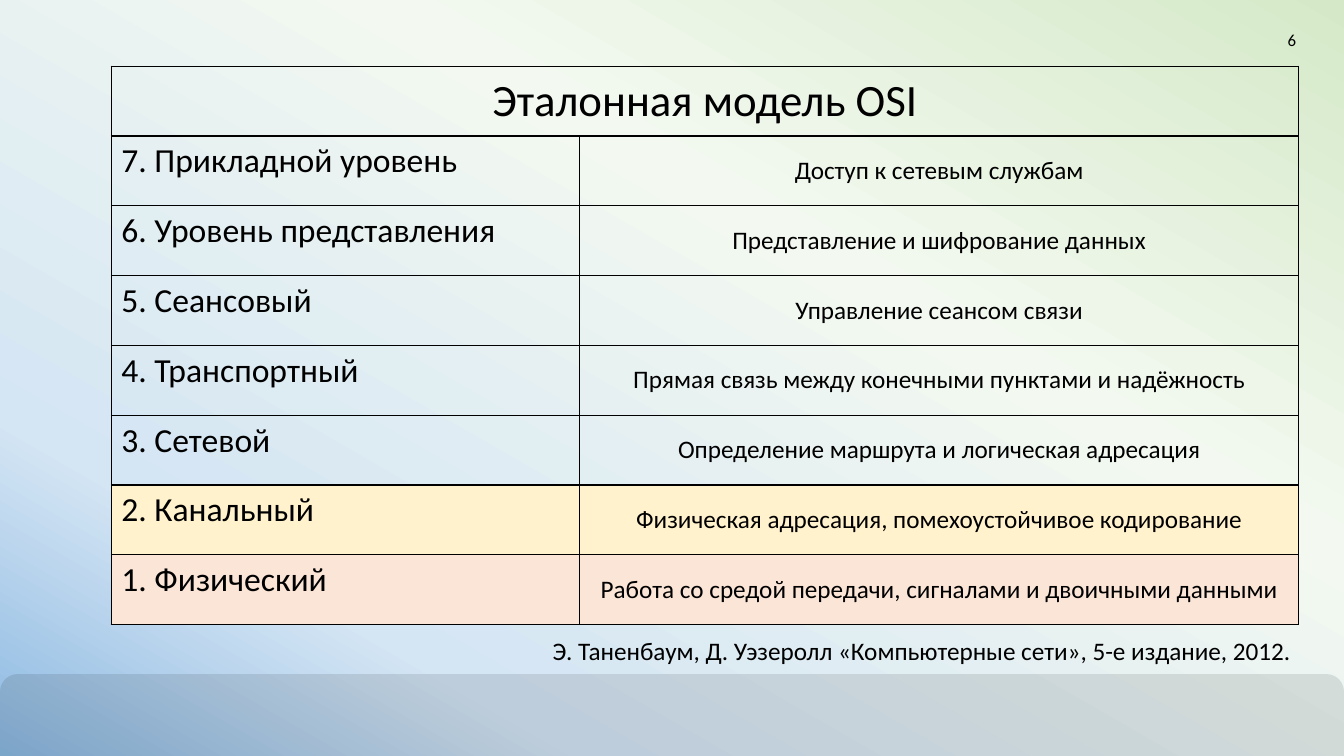
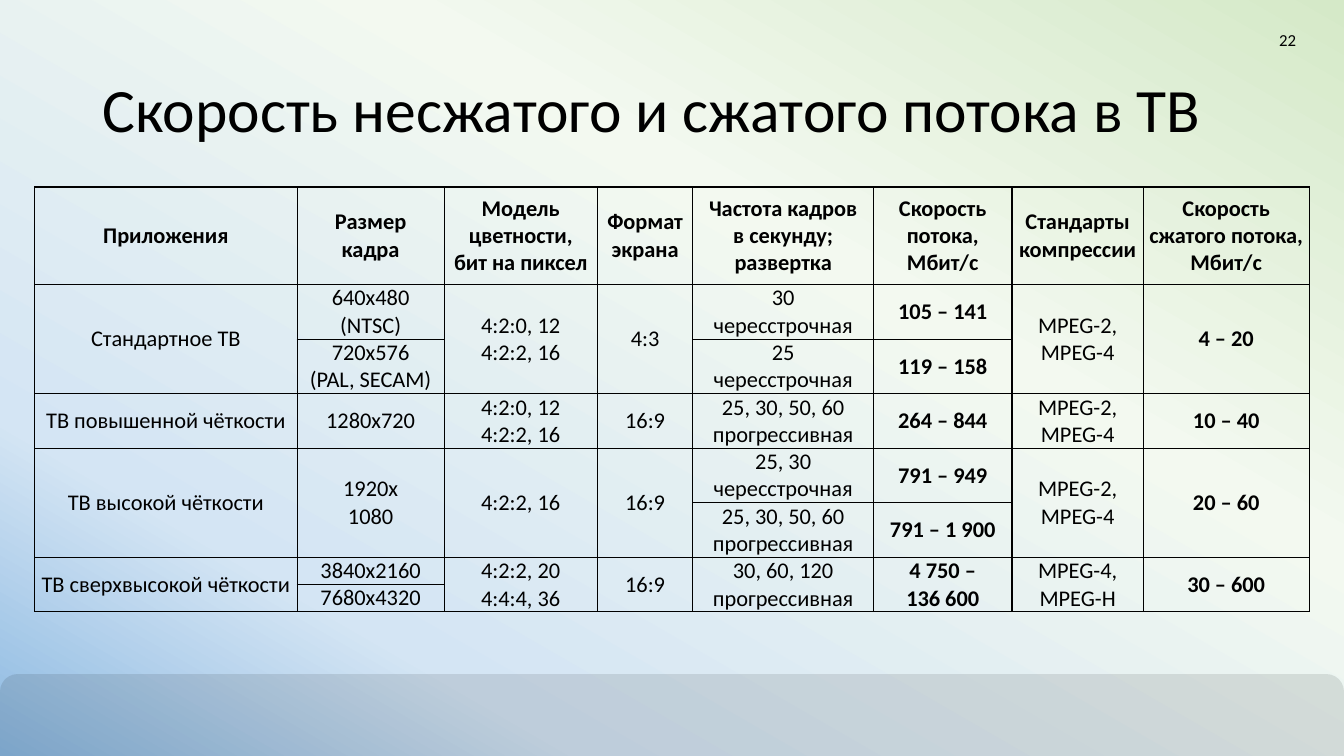
from lxml.etree import SubElement
from pptx import Presentation
from pptx.dml.color import RGBColor
from pptx.enum.shapes import MSO_SHAPE
from pptx.enum.text import MSO_ANCHOR, PP_ALIGN
from pptx.oxml import parse_xml
from pptx.oxml.ns import nsdecls, qn
from pptx.util import Pt

PX = 9525
FONT = "Calibri"
COLORS = {
    "ink": "000000",
    "green": "D5E9C8",
    "pale": "F3F9F0",
    "sky": "D4E5F4",
    "blue": "8BB8E1",
    "link": "FFF2CC",
    "physical": "FBE5D6",
}
GRADIENT = [(0, "green"), (36, "pale"), (78, "sky"), (100, "blue")]
GRADIENT_ANGLE = 120

OSI_TITLE = "Эталонная модель OSI"
OSI_LAYERS = [
    ("7. Прикладной уровень", "Доступ к сетевым службам", None),
    ("6. Уровень представления", "Представление и шифрование данных", None),
    ("5. Сеансовый", "Управление сеансом связи", None),
    ("4. Транспортный", "Прямая связь между конечными пунктами и надёжность", None),
    ("3. Сетевой", "Определение маршрута и логическая адресация", None),
    ("2. Канальный", "Физическая адресация, помехоустойчивое кодирование", "link"),
    ("1. Физический", "Работа со средой передачи, сигналами и двоичными данными", "physical"),
]
OSI_SOURCE = "Э. Таненбаум, Д. Уэзеролл «Компьютерные сети», 5-е издание, 2012."

TV_TITLE = "Скорость несжатого и сжатого потока в ТВ"
TV_COLS = [250, 140, 146, 91, 172, 132, 125, 158]
TV_ROWS = [93, 52, 52, 52, 52, 52, 26, 26]
TV_BOLD_COLS = {5, 7}
TV_CELLS = [
    ["Приложения", "Размер\nкадра", "Модель\nцветности,\nбит на пиксел", "Формат\nэкрана",
     "Частота кадров\nв секунду;\nразвертка", "Скорость потока, Мбит/с",
     "Стандарты компрессии", "Скорость сжатого потока,\nМбит/с"],
    ["Стандартное ТВ", "640x480\n(NTSC)", "4:2:0, 12\n4:2:2, 16", "4:3",
     "30\nчересстрочная", "105 – 141", "MPEG-2, MPEG-4", "4 – 20"],
    [None, "720x576\n(PAL, SECAM)", None, None,
     "25\nчересстрочная", "119 – 158", None, None],
    ["ТВ повышенной чёткости", "1280x720", "4:2:0, 12\n4:2:2, 16", "16:9",
     "25, 30, 50, 60\nпрогрессивная", "264 – 844", "MPEG-2, MPEG-4", "10 – 40"],
    ["ТВ высокой чёткости", "1920x\n1080", "4:2:2, 16", "16:9",
     "25, 30\nчересстрочная", "791 – 949", "MPEG-2, MPEG-4", "20 – 60"],
    [None, None, None, None,
     "25, 30, 50, 60\nпрогрессивная", "791 – 1 900", None, None],
    ["ТВ сверхвысокой чёткости", "3840x2160", "4:2:2, 20\n4:4:4, 36", "16:9",
     "30, 60, 120\nпрогрессивная", "4 750 –\n136 600", "MPEG-4,\nMPEG-H", "30 – 600"],
    [None, "7680x4320", None, None, None, None, None, None],
]


def emu(*lengths):
    """Turn px lengths into whole EMU."""
    return [round(n * PX) for n in lengths]


def write(tf, text, *, size, bold=False, align=PP_ALIGN.LEFT, spacing=None):
    """Fill a text frame, one paragraph per line of text."""
    for i, line in enumerate(text.split("\n")):
        p = tf.add_paragraph() if i else tf.paragraphs[0]
        p.alignment = align
        if spacing:
            p.line_spacing = spacing
        r = p.add_run()
        r.text = line
        r.font.name = FONT
        r.font.size = Pt(size)
        r.font.bold = bold
        r.font.color.rgb = RGBColor.from_string(COLORS["ink"])


def add_text(s, box, text, *, anchor=MSO_ANCHOR.TOP, wrap=True, **fmt):
    """Place a text box in the given box."""
    tf = s.shapes.add_textbox(*emu(*box)).text_frame
    tf.word_wrap = wrap
    tf.vertical_anchor = anchor
    write(tf, text, **fmt)


def add_background(s):
    """Give the slide its diagonal gradient."""
    stops = "".join(
        f'<a:gs pos="{pos * 1000}"><a:srgbClr val="{COLORS[name]}"/></a:gs>'
        for pos, name in GRADIENT)
    bg = parse_xml(
        f'<p:bg {nsdecls("p", "a")}><p:bgPr><a:gradFill rotWithShape="1">'
        f'<a:gsLst>{stops}</a:gsLst><a:lin ang="{GRADIENT_ANGLE * 60000}" scaled="0"/>'
        '</a:gradFill><a:effectLst/></p:bgPr></p:bg>')
    s.element.cSld.insert(0, bg)


def add_footer(s, box):
    """Draw the translucent band along the bottom."""
    sp = s.shapes.add_shape(MSO_SHAPE.ROUNDED_RECTANGLE, *emu(*box))
    sp.shadow.inherit = False
    sp.line.fill.background()
    sp.fill.solid()
    sp.fill.fore_color.rgb = RGBColor.from_string(COLORS["ink"])
    clr = sp.fill._xPr.find(qn("a:solidFill"))[0]
    SubElement(clr, qn("a:alpha"), val="10000")


def add_slide(prs, number):
    """Add a blank slide with background, band and page number."""
    s = prs.slides.add_slide(prs.slide_layouts[6])
    add_background(s)
    add_footer(s, (0, 642, 1280, 100))
    add_text(s, (956, 19, 288, 38), str(number), size=12,
             align=PP_ALIGN.RIGHT, anchor=MSO_ANCHOR.MIDDLE)
    return s


def add_grid(s, left, top, cols, rows):
    """Add an unfilled table with thin borders on every cell."""
    box = emu(left, top, sum(cols), sum(rows))
    tbl = s.shapes.add_table(len(rows), len(cols), *box).table
    tbl.first_row = tbl.horz_banding = False
    for col, width in zip(tbl.columns, emu(*cols)):
        col.width = width
    for row, height in zip(tbl.rows, emu(*rows)):
        row.height = height
    for cell in tbl.iter_cells():
        tcPr = cell._tc.get_or_add_tcPr()
        for side in ("lnL", "lnR", "lnT", "lnB"):
            ln = SubElement(tcPr, qn(f"a:{side}"), w=str(Pt(1)))
            fill = SubElement(ln, qn("a:solidFill"))
            SubElement(fill, qn("a:srgbClr"), val=COLORS["ink"])
        cell.fill.background()
    return tbl


def fill_cell(cell, text, *, anchor=MSO_ANCHOR.MIDDLE, align=PP_ALIGN.CENTER, **fmt):
    """Write text into a table cell, centred by default."""
    cell.vertical_anchor = anchor
    write(cell.text_frame, text, align=align, **fmt)


def add_osi_table(s, left, top, cols, height):
    """Place the layer table with a merged heading and equal rows."""
    count = len(OSI_LAYERS) + 1
    tbl = add_grid(s, left, top, cols, [height / count] * count)
    tbl.cell(0, 0).merge(tbl.cell(0, 1))
    fill_cell(tbl.cell(0, 0), OSI_TITLE, size=32)
    for i, (layer, role, color) in enumerate(OSI_LAYERS, 1):
        fill_cell(tbl.cell(i, 0), layer, size=24,
                  anchor=MSO_ANCHOR.TOP, align=PP_ALIGN.LEFT)
        fill_cell(tbl.cell(i, 1), role, size=18)
        if color:
            for cell in tbl.rows[i].cells:
                cell.fill.solid()
                cell.fill.fore_color.rgb = RGBColor.from_string(COLORS[color])


def add_tv_table(s, left, top):
    """Place the bitrate table; an empty entry joins the cell above."""
    tbl = add_grid(s, left, top, TV_COLS, TV_ROWS)
    for i, row in enumerate(TV_CELLS):
        for j, text in enumerate(row):
            cell = tbl.cell(i, j)
            cell.margin_left = cell.margin_right = 5 * PX
            cell.margin_top = cell.margin_bottom = 0
            if text is None:
                tbl.cell(i - 1, j).merge(cell)
            else:
                fill_cell(cell, text, size=16, bold=i == 0 or j in TV_BOLD_COLS)


def osi_slide(prs):
    """Build the slide on the reference model."""
    s = add_slide(prs, 6)
    add_osi_table(s, 106, 63, [446, 685], 532)
    add_text(s, (517, 600, 725, 38), OSI_SOURCE, size=18, wrap=False)


def tv_slide(prs):
    """Build the slide on television bitrates."""
    s = add_slide(prs, 22)
    add_text(s, (88, 38, 1104, 139), TV_TITLE, size=44, spacing=0.9,
             anchor=MSO_ANCHOR.MIDDLE)
    add_tv_table(s, 33, 178)


def main():
    """Build and save the presentation."""
    prs = Presentation()
    prs.slide_width, prs.slide_height = emu(1280, 720)
    osi_slide(prs)
    tv_slide(prs)
    prs.save("out.pptx")


if __name__ == "__main__":
    main()
